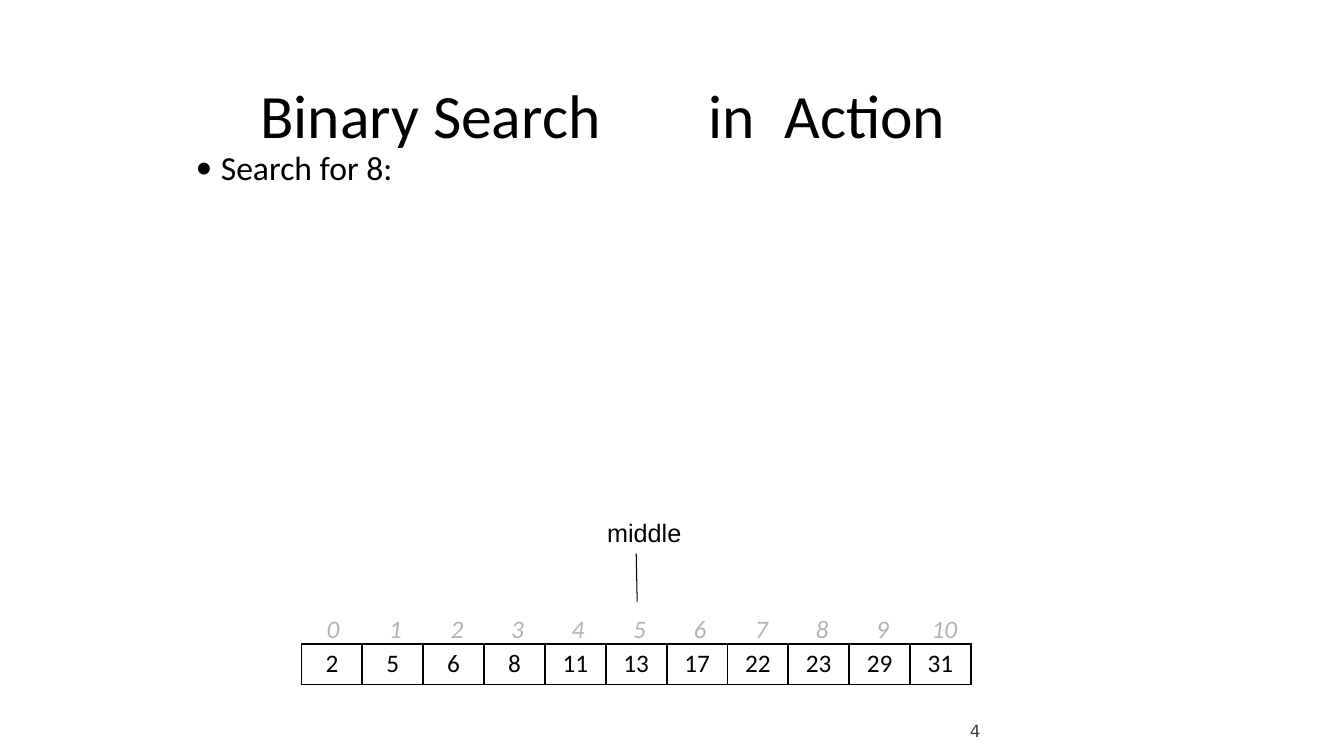
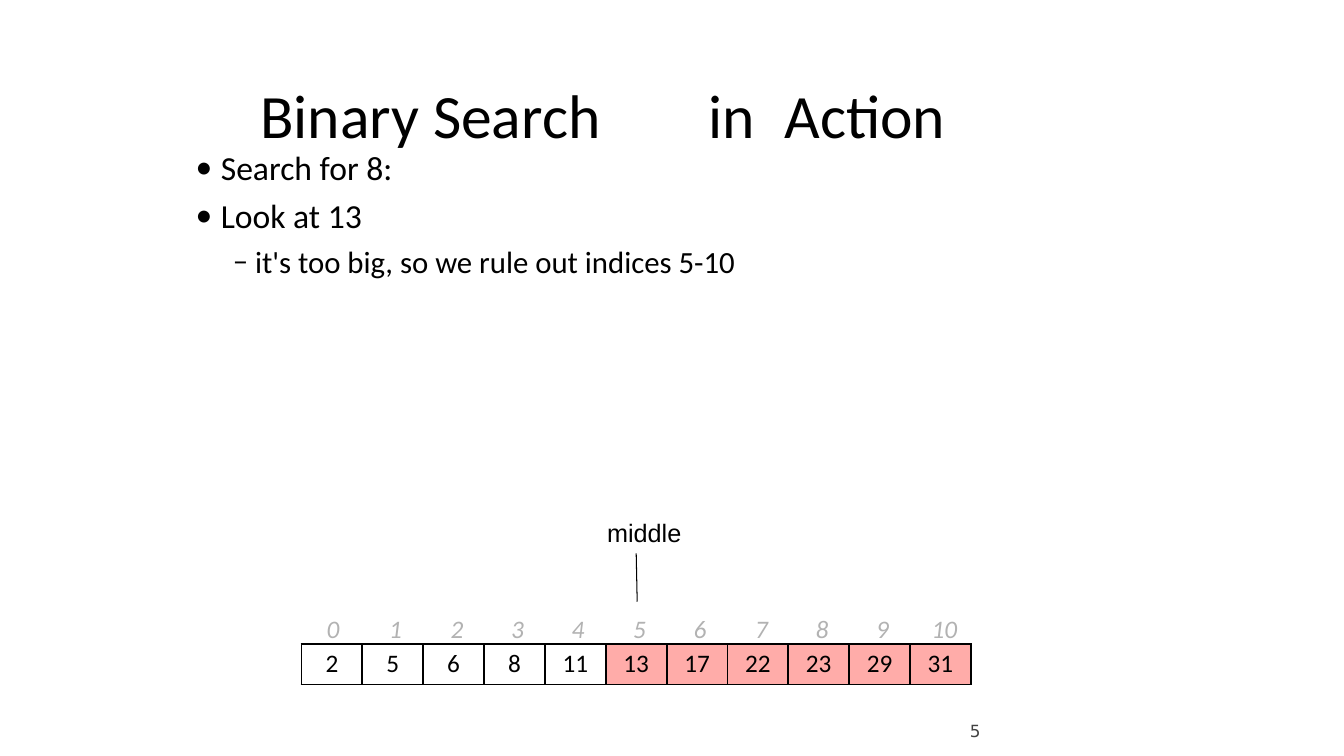
from dataclasses import dataclass

from lxml import etree
from pptx import Presentation
from pptx.dml.color import RGBColor
from pptx.enum.shapes import MSO_CONNECTOR
from pptx.enum.text import MSO_ANCHOR, MSO_AUTO_SIZE, PP_ALIGN
from pptx.oxml.ns import qn
from pptx.util import Emu, Pt

LEFT, CENTER = PP_ALIGN.LEFT, PP_ALIGN.CENTER
TOP, MIDDLE = MSO_ANCHOR.TOP, MSO_ANCHOR.MIDDLE
NO_AUTOSIZE = MSO_AUTO_SIZE.NONE
STRAIGHT = MSO_CONNECTOR.STRAIGHT
TITLE_ONLY = 5
EMU_PER_PX = 9144  # 100 px to the inch


@dataclass(frozen=True)
class Style:
    size: float
    color: str = "000000"
    font: str = "Calibri"
    italic: bool = False


@dataclass(frozen=True)
class Theme:
    title: Style = Style(44)
    point: Style = Style(24)
    detail: Style = Style(22)
    value: Style = Style(18)
    index: Style = Style(18, "B2B2B2", italic=True)
    pointer: Style = Style(18, font="Arial")
    number: Style = Style(12, "424242", "DejaVu Sans")
    line: str = "000000"
    ruled_out: str = "FFACA9"
    border: float = 1.5
    pointer_line: float = 0.75


THEME = Theme()

# Bullet levels: style, sign, text margin, hanging indent, space before
LEVELS = (
    (THEME.point, "•", 27, -25, 5),
    (THEME.detail, "–", 61, -22, 5.7),
)

VALUES = (2, 5, 6, 8, 11, 13, 17, 22, 23, 29, 31)
MIDDLE_INDEX = 5

# Slide number, bullets as (level, text), indices ruled out
SLIDES = (
    (4, [(0, "Search for 8:")], ()),
    (5, [(0, "Search for 8:"),
         (0, "Look at 13"),
         (1, "it's too big, so we rule out indices 5-10")],
     range(MIDDLE_INDEX, len(VALUES))),
)


def px(length):
    return Emu(length * EMU_PER_PX)


def add_run(para, text, style):
    span = para.add_run()
    span.text = text
    font = span.font
    font.size, font.name, font.italic = Pt(style.size), style.font, style.italic
    font.color.rgb = RGBColor.from_string(style.color)


def set_tabs(para, stops):
    tabs = etree.SubElement(para._p.get_or_add_pPr(), qn("a:tabLst"))
    for stop in stops:
        etree.SubElement(tabs, qn("a:tab"), pos=str(px(stop)), algn="l")


def set_bullet(para, sign, margin, indent, font):
    props = para._p.get_or_add_pPr()
    props.set("marL", str(px(margin)))
    props.set("indent", str(px(indent)))
    etree.SubElement(props, qn("a:buFont"), typeface=font)
    etree.SubElement(props, qn("a:buChar"), char=sign)


def prepare_frame(frame, anchor):
    frame.margin_left = frame.margin_right = 0
    frame.margin_top = frame.margin_bottom = 0
    frame.auto_size = NO_AUTOSIZE
    frame.word_wrap = True
    frame.vertical_anchor = anchor
    return frame


def add_text_box(page, left, top, width, height, anchor=TOP):
    box = page.shapes.add_textbox(px(left), px(top), px(width), px(height))
    return prepare_frame(box.text_frame, anchor)


def place_title(page, left, top, width, height):
    title = page.shapes.title
    title.left, title.top = px(left), px(top)
    title.width, title.height = px(width), px(height)
    para = prepare_frame(title.text_frame, MIDDLE).paragraphs[0]
    para.alignment = LEFT
    set_tabs(para, (445, 520))
    add_run(para, "Binary Search\tin\tAction", THEME.title)


def add_bullets(page, left, top, width, height, items):
    frame = add_text_box(page, left, top, width, height)
    for position, (level, text) in enumerate(items):
        style, sign, margin, indent, space = LEVELS[level]
        para = frame.add_paragraph() if position else frame.paragraphs[0]
        para.space_before = Pt(space if position else 0)
        set_bullet(para, sign, margin, indent, style.font)
        add_run(para, text, style)


def set_borders(cell):
    props = cell._tc.get_or_add_tcPr()
    for side in ("a:lnL", "a:lnR", "a:lnT", "a:lnB"):
        line = etree.SubElement(props, qn(side), w=str(Pt(THEME.border)))
        fill = etree.SubElement(line, qn("a:solidFill"))
        etree.SubElement(fill, qn("a:srgbClr"), val=THEME.line)


def add_values(page, left, top, width, height, ruled_out):
    table = page.shapes.add_table(
        1, len(VALUES), px(left), px(top), px(width), px(height)).table
    table.first_row = table.horz_banding = False
    for index, value in enumerate(VALUES):
        table.columns[index].width = Emu(px(width) // len(VALUES))
        cell = table.cell(0, index)
        cell.margin_left = cell.margin_right = 0
        cell.margin_top = cell.margin_bottom = 0
        cell.vertical_anchor = MIDDLE
        set_borders(cell)
        if index in ruled_out:
            cell.fill.solid()
            cell.fill.fore_color.rgb = RGBColor.from_string(THEME.ruled_out)
        else:
            cell.fill.background()
        para = cell.text_frame.paragraphs[0]
        para.alignment = CENTER
        add_run(para, str(value), THEME.value)


def add_pointer(page, center, top):
    para = add_text_box(page, center - 52, top, 120, 30).paragraphs[0]
    para.alignment = CENTER
    add_run(para, "middle", THEME.pointer)
    pointer = page.shapes.add_connector(
        STRAIGHT, px(center), px(top + 36), px(center + 1), px(top + 84))
    pointer.line.color.rgb = RGBColor.from_string(THEME.line)
    pointer.line.width = Pt(THEME.pointer_line)
    etree.SubElement(pointer._element.spPr, qn("a:effectLst"))


def add_array(page, left, top, width, height, ruled_out):
    count = len(VALUES)
    # Values
    add_values(page, left, top, width, height, ruled_out)
    # Indices, with the two-digit one moved back by half a digit
    para = add_text_box(page, left + 25, top - 31, width - 24, 31).paragraphs[0]
    stops = [round(width * index / count) + 2 for index in range(1, count)]
    stops[-1] -= 6
    set_tabs(para, stops)
    add_run(para, "\t".join(str(index) for index in range(count)), THEME.index)
    # Pointer to the middle value
    center = left + round(width * (MIDDLE_INDEX + 0.5) / count)
    add_pointer(page, center, top - 126)


def add_number(page, left, top, width, height, number):
    frame = add_text_box(page, left, top, width, height, MIDDLE)
    add_run(frame.paragraphs[0], str(number), THEME.number)


def add_search_slide(deck, number, items, ruled_out):
    page = deck.slides.add_slide(deck.slide_layouts[TITLE_ONLY])
    place_title(page, 258, 75, 1000, 75)
    add_bullets(page, 192, 146, 542, 133, items)
    add_array(page, 299, 639, 664, 40, ruled_out)
    add_number(page, 962, 714, 24, 23, number)


def main():
    deck = Presentation()
    deck.slide_width, deck.slide_height = px(1333), px(750)
    for number, items, ruled_out in SLIDES:
        add_search_slide(deck, number, items, ruled_out)
    deck.save("out.pptx")


if __name__ == "__main__":
    main()
